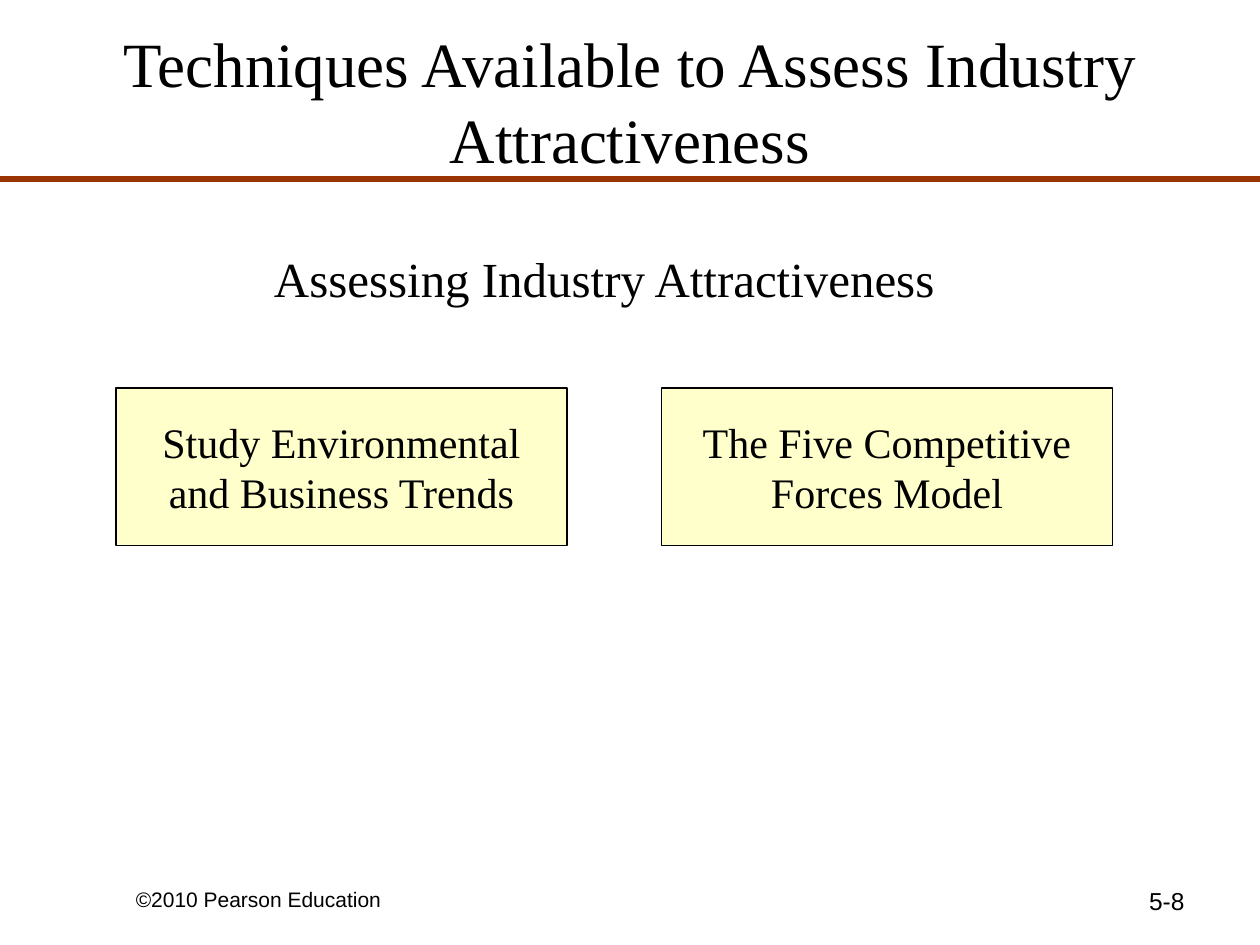
"""Build the slide on techniques to assess industry attractiveness."""
from dataclasses import dataclass

import pptx
import pptx.dml.color
import pptx.enum.shapes
import pptx.enum.text
import pptx.oxml.ns
import pptx.util
from lxml import etree

Inches = pptx.util.Inches
Align = pptx.enum.text.PP_ALIGN
Anchor = pptx.enum.text.MSO_ANCHOR
SERIF, SANS = "Times New Roman", "Arial"


@dataclass
class Label:
    """Text with its place and type."""
    text: str
    left: float
    top: float
    width: float
    height: float
    size: int
    face: str = SERIF
    align: Align = Align.CENTER


def color(code: str) -> pptx.dml.color.RGBColor:
    """Turn a hex string into a colour."""
    return pptx.dml.color.RGBColor.from_string(code)


def assign(item, values: dict) -> None:
    """Set each named attribute on an item."""
    for name, value in values.items():
        setattr(item, name, value)


def area(label: Label) -> list:
    """Give the place of a label as lengths."""
    return [Inches(n) for n in (label.left, label.top, label.width, label.height)]


def write(shape, label: Label, **frame) -> None:
    """Fill a shape with the text of a label."""
    body = shape.text_frame
    body.text = label.text
    assign(body, {"word_wrap": True, **frame})
    for line in body.paragraphs:
        line.alignment = label.align
        assign(line.font, {"name": label.face, "size": pptx.util.Pt(label.size)})
        line.font.color.rgb = color("000000")


def head(slide, label: Label) -> None:
    """Place and write the slide title."""
    title = slide.shapes.title
    assign(title, dict(zip(("left", "top", "width", "height"), area(label))))
    sides = ("left", "right", "top", "bottom")
    write(title, label, vertical_anchor=Anchor.MIDDLE,
          auto_size=pptx.enum.text.MSO_AUTO_SIZE.NONE,
          **{f"margin_{side}": 0 for side in sides})


def rule(slide, top: float) -> None:
    """Draw the line under the title."""
    kind = pptx.enum.shapes.MSO_CONNECTOR.STRAIGHT
    line = slide.shapes.add_connector(kind, 0, Inches(top), Inches(10), Inches(top))
    line.line.color.rgb = color("993300")
    line.line.width = pptx.util.Pt(3)
    etree.SubElement(line._element.spPr, pptx.oxml.ns.qn("a:effectLst"))


def card(slide, label: Label) -> None:
    """Draw a filled box with text."""
    kind = pptx.enum.shapes.MSO_SHAPE.RECTANGLE
    box = slide.shapes.add_shape(kind, *area(label))
    box.shadow.inherit = False
    box.fill.solid()
    box.fill.fore_color.rgb = color("FFFFCC")
    box.line.color.rgb = color("000000")
    box.line.width = pptx.util.Pt(0.75)
    write(box, label, word_wrap=False, vertical_anchor=Anchor.MIDDLE)


def main() -> None:
    """Build and save the slide."""
    deck = pptx.Presentation()
    assign(deck, {"slide_width": Inches(10), "slide_height": Inches(7.5)})
    slide = deck.slides.add_slide(deck.slide_layouts[5])
    head(slide, Label("Techniques Available to Assess Industry\vAttractiveness",
                      0.5, 0.17, 9, 1.25, 36))
    rule(slide, 1.42)
    notes = (
        Label("Assessing Industry Attractiveness", 1.92, 1.92, 5.75, 0.57, 28),
        Label("©2010 Pearson Education", 0.98, 6.99, 2.33, 0.27, 12, SANS, Align.LEFT),
        Label("5-8", 7.17, 6.98, 2.33, 0.52, 14, SANS, Align.RIGHT),
    )
    for note in notes:
        write(slide.shapes.add_textbox(*area(note)), note)
    tools = ("Study Environmental\nand Business Trends",
             "The Five Competitive\nForces Model")
    for col, text in enumerate(tools):
        card(slide, Label(text, 0.92 + 4.33 * col, 3.08, 3.58, 1.25, 24))
    deck.save("out.pptx")


if __name__ == "__main__":
    main()
